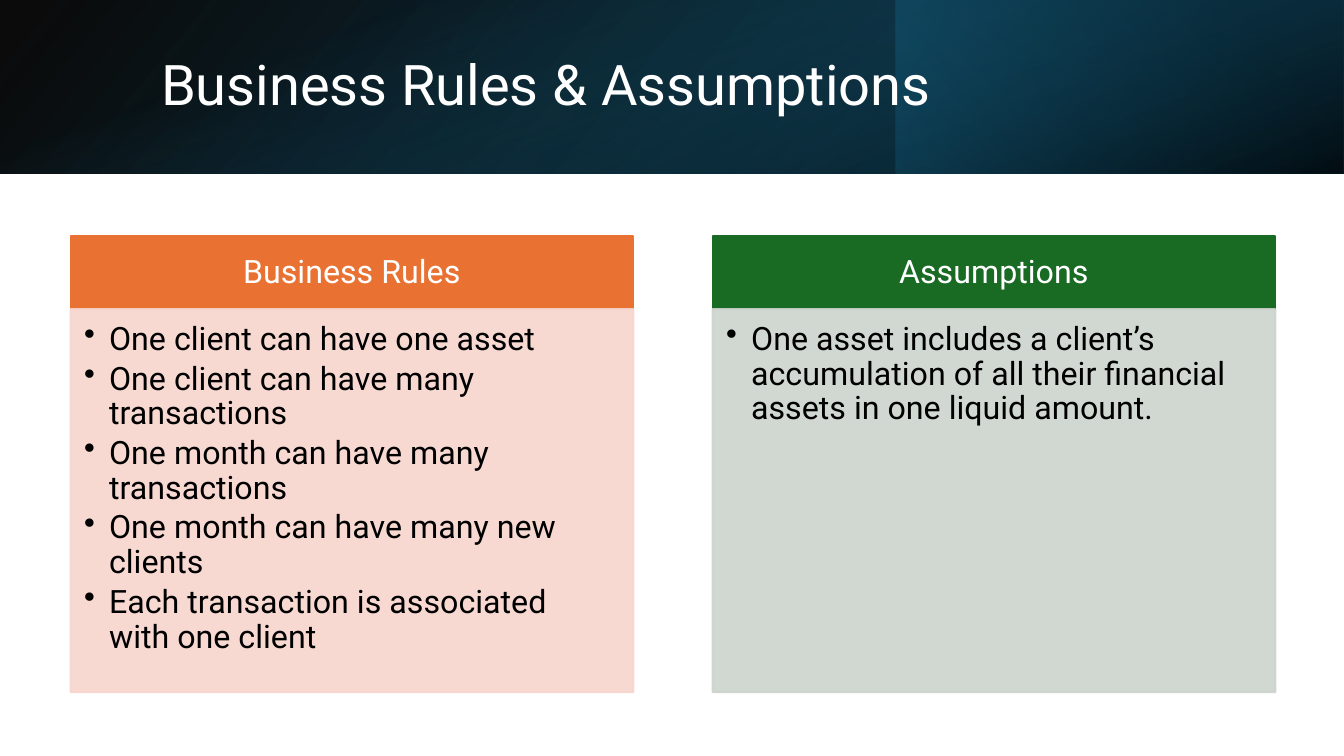
import pptx
import pptx.util
import pptx.dml.color
import pptx.enum.shapes
import pptx.enum.text
import pptx.oxml
import pptx.oxml.ns

Cm = pptx.util.Cm
Pt = pptx.util.Pt
ANCHOR = pptx.enum.text.MSO_ANCHOR
ALIGN = pptx.enum.text.PP_ALIGN
FONT = "Roboto"
COLORS = {
    "black": "000000", "white": "FFFFFF", "teal": "156082",
    "deep_teal": "104862", "night": "0B3041",
    "orange": "E97132", "peach": "F7D5CE",
    "green": "196B24", "sage": "CCD4CD",
}
PAGE_WIDTH, PAGE_HEIGHT = 33.87, 19.05


def rgb(name):
    return pptx.dml.color.RGBColor.from_string(COLORS[name])


def set_opacity(element, percent):
    for color in element.iter(pptx.oxml.ns.qn("a:srgbClr")):
        alpha = pptx.oxml.parse_xml(
            f'<a:alpha {pptx.oxml.ns.nsdecls("a")} val="{percent * 1000}"/>')
        color.append(alpha)


def add_rectangle(page, left, top, width, height):
    shape = page.shapes.add_shape(
        pptx.enum.shapes.MSO_SHAPE.RECTANGLE,
        Cm(left), Cm(top), Cm(width), Cm(height))
    shape.shadow.inherit = False
    return shape


def shade(shape, angle, stops):
    shape.line.fill.background()
    shape.fill.gradient()
    shape.fill.gradient_angle = 360 - angle
    for stop, (position, name, opacity) in zip(shape.fill.gradient_stops, stops):
        stop.position = position / 100
        stop.color.rgb = rgb(name)
        set_opacity(stop.color._xFill, opacity)


def style_paragraph(paragraph, size, color):
    paragraph.line_spacing = 0.9
    for span in paragraph.runs:
        span.font.name = FONT
        span.font.size = Pt(size)
        span.font.color.rgb = rgb(color)


def set_margins(frame, left, top, right, bottom):
    frame.word_wrap = True
    frame.margin_left, frame.margin_top = Cm(left), Cm(top)
    frame.margin_right, frame.margin_bottom = Cm(right), Cm(bottom)


def add_banner(page, left, top, width, height, title):
    base = add_rectangle(page, left, top, width, height)
    base._element.spPr.xfrm.set("flipH", "1")
    shade(base, 140, [(0, "black", 96), (100, "deep_teal", 100)])

    third = width / 3
    glow = add_rectangle(page, left + 2 * third, top, third, height)
    glow.rotation = 180
    shade(glow, 320, [(19, "night", 68), (100, "teal", 79)])

    offset = (width - height) / 2
    veil = add_rectangle(page, left + offset, top - offset, height, width)
    veil.rotation = 90
    shade(veil, 340, [(23, "teal", 0), (99, "black", 74)])

    box = page.shapes.add_textbox(
        Cm(left + 3.81), Cm(top + 0.97), Cm(27.89), Cm(2.44))
    frame = box.text_frame
    set_margins(frame, 0.25, 0.13, 0.25, 0.13)
    frame.vertical_anchor = ANCHOR.MIDDLE
    frame.text = title
    style_paragraph(frame.paragraphs[0], 40, "white")


def add_panel_box(page, left, top, width, height, color):
    box = add_rectangle(page, left, top, width, height)
    box.fill.solid()
    box.fill.fore_color.rgb = rgb(color)
    box.line.color.rgb = rgb(color)
    box.line.width = Pt(1.5)
    return box


def add_bullet(paragraph):
    properties = paragraph._p.get_or_add_pPr()
    properties.set("marL", str(Cm(0.63)))
    properties.set("indent", str(-Cm(0.63)))
    properties.append(pptx.oxml.parse_xml(
        f'<a:buChar {pptx.oxml.ns.nsdecls("a")} char="•"/>'))


def add_panel(page, left, top, width, height, heading, points, dark, light):
    header_height = 1.84
    header = add_panel_box(page, left, top, width, header_height, dark)
    frame = header.text_frame
    set_margins(frame, 0.45, 0.26, 0.45, 0.26)
    frame.vertical_anchor = ANCHOR.MIDDLE
    frame.text = heading
    frame.paragraphs[0].alignment = ALIGN.CENTER
    style_paragraph(frame.paragraphs[0], 23, "white")

    body = add_panel_box(page, left, top + header_height, width,
                         height - header_height, light)
    set_opacity(body._element.spPr, 90)
    frame = body.text_frame
    set_margins(frame, 0.34, 0.34, 0.45, 0.51)
    frame.vertical_anchor = ANCHOR.TOP
    frame.text = "\n".join(points)
    for paragraph in frame.paragraphs:
        add_bullet(paragraph)
        paragraph.alignment = ALIGN.LEFT
        paragraph.space_after = Pt(3.5)
        style_paragraph(paragraph, 23, "black")


def main():
    deck = pptx.Presentation()
    deck.slide_width, deck.slide_height = Cm(PAGE_WIDTH), Cm(PAGE_HEIGHT)
    page = deck.slides.add_slide(deck.slide_layouts[6])
    add_banner(page, 0, 0, PAGE_WIDTH, 4.37, "Business Rules & Assumptions")
    panels = [
        ("Business Rules", [
            "One client can have one asset",
            "One client can have many transactions",
            "One month can have many transactions",
            "One month can have many new clients",
            "Each transaction is associated with one client",
        ], "orange", "peach"),
        ("Assumptions", [
            "One asset includes a client’s accumulation of all their "
            "financial assets in one liquid amount.",
        ], "green", "sage"),
    ]
    for index, panel in enumerate(panels):
        add_panel(page, 1.78 + index * 16.18, 5.95, 14.18, 11.49, *panel)
    deck.save("out.pptx")


if __name__ == "__main__":
    main()
